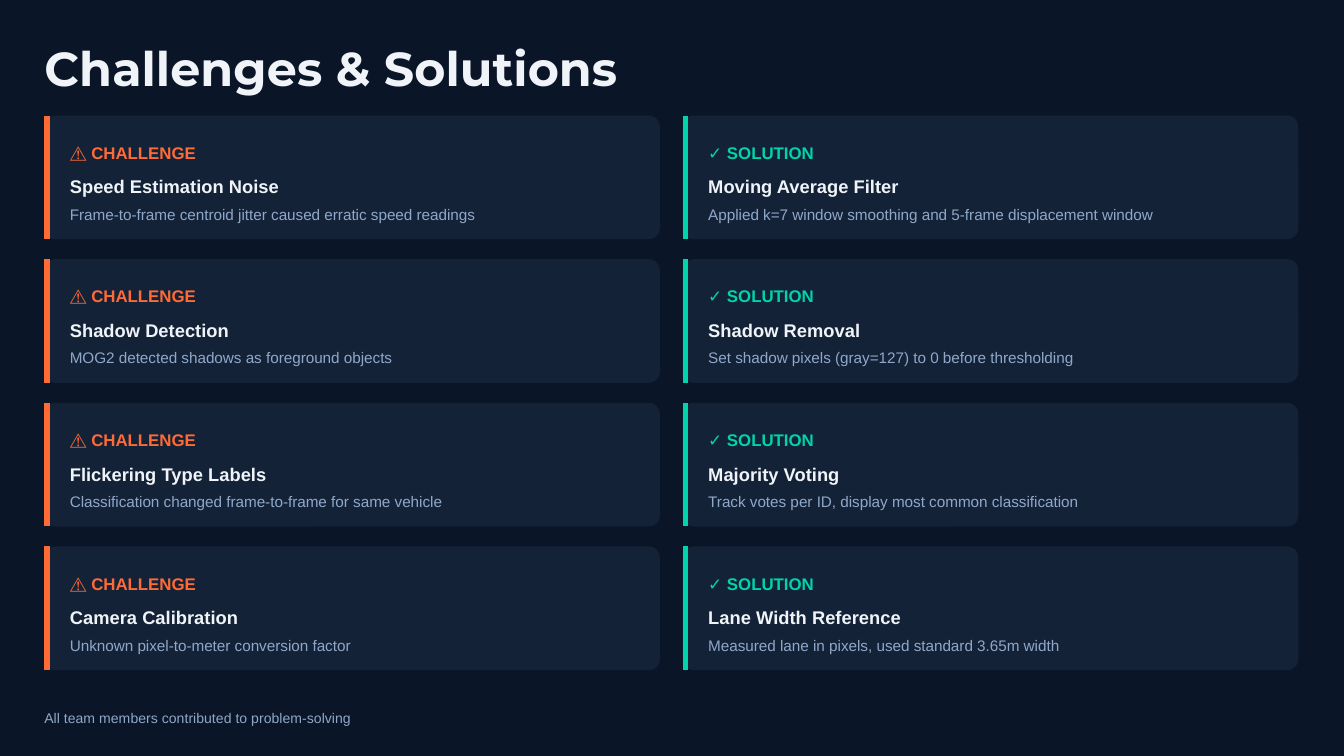
from pptx import Presentation
from pptx.dml.color import RGBColor
from pptx.enum.shapes import MSO_CONNECTOR, MSO_SHAPE
from pptx.enum.text import MSO_ANCHOR, MSO_AUTO_SIZE, PP_ALIGN
from pptx.oxml.ns import qn
from pptx.util import Inches, Pt
from lxml import etree

LINE = MSO_CONNECTOR.STRAIGHT
CARD = MSO_SHAPE.ROUNDED_RECTANGLE
TOP = MSO_ANCHOR.TOP
FIXED = MSO_AUTO_SIZE.NONE
LEFT = PP_ALIGN.LEFT

NAVY = RGBColor(0x0A, 0x16, 0x28)
PANEL = RGBColor(0x14, 0x22, 0x38)
WHITE = RGBColor(0xF0, 0xF4, 0xF8)
GREY = RGBColor(0x8F, 0xA8, 0xC8)
ORANGE = RGBColor(0xFF, 0x6B, 0x35)
GREEN = RGBColor(0x00, 0xD4, 0xAA)

FRAME = dict(margin_left=0, margin_top=0, margin_right=0, margin_bottom=0,
             word_wrap=True, auto_size=FIXED, vertical_anchor=TOP)

deck = Presentation()
deck.slide_width = Inches(10)
deck.slide_height = deck.slide_width * 9 // 16
wide, high = deck.slide_width, deck.slide_height

slide = deck.slides.add_slide(deck.slide_layouts[5])
slide.background.fill.solid()
slide.background.fill.fore_color.rgb = NAVY


def write(box, text, size, color, bold=False, face="Arial", space=1.4):
    frame = box.text_frame
    for name, value in FRAME.items():
        setattr(frame, name, value)
    para = frame.paragraphs[0]
    para.alignment = LEFT
    para.line_spacing = space
    run = para.add_run()
    run.text = text
    for name, value in dict(size=Pt(size), bold=bold, name=face).items():
        setattr(run.font, name, value)
    run.font.color.rgb = color


edge = Inches(0.33)
col = Inches(4.75)
row = int(high * 0.19)
first = Inches(0.86)
card_w, card_h = Inches(4.58), Inches(0.92)
inset = Inches(0.19)
text_w = Inches(4.33)

title = slide.shapes.title
spot = dict(left=edge, top=Inches(0.29), width=Inches(4.77), height=Inches(0.35))
for name, value in spot.items():
    setattr(title, name, value)
write(title, "Challenges & Solutions", 25.5, WHITE, True, "Montserrat", 1)

sides = [("⚠️ CHALLENGE", ORANGE), ("✓ SOLUTION", GREEN)]
pairs = [
    (("Speed Estimation Noise",
      "Frame-to-frame centroid jitter caused erratic speed readings"),
     ("Moving Average Filter",
      "Applied k=7 window smoothing and 5-frame displacement window")),
    (("Shadow Detection", "MOG2 detected shadows as foreground objects"),
     ("Shadow Removal", "Set shadow pixels (gray=127) to 0 before thresholding")),
    (("Flickering Type Labels",
      "Classification changed frame-to-frame for same vehicle"),
     ("Majority Voting", "Track votes per ID, display most common classification")),
    (("Camera Calibration", "Unknown pixel-to-meter conversion factor"),
     ("Lane Width Reference", "Measured lane in pixels, used standard 3.65m width")),
]

for r, pair in enumerate(pairs):
    for c, (head, note) in enumerate(pair):
        label, tint = sides[c]
        x, y = edge + c * col, first + r * row
        card = slide.shapes.add_shape(CARD, x, y, card_w, card_h)
        card.adjustments[0] = 0.09
        card.shadow.inherit = False
        card.fill.solid()
        card.fill.fore_color.rgb = PANEL
        card.line.fill.background()

        mid = x + Inches(0.02)
        bar = slide.shapes.add_connector(LINE, mid, y, mid, y + card_h)
        bar.line.color.rgb = tint
        bar.line.width = Pt(3)
        etree.SubElement(bar._element.spPr, qn("a:effectLst"))

        lines = [(0.14, 0.17, label, 9, tint, True),
                 (0.38, 0.19, head, 9.8, WHITE, True),
                 (0.61, 0.16, note, 8.2, GREY, False)]
        for drop, tall, text, size, color, bold in lines:
            box = slide.shapes.add_textbox(
                x + inset, y + Inches(drop), text_w, Inches(tall))
            write(box, text, size, color, bold)

foot = slide.shapes.add_textbox(
    edge, int(high * 0.93), int(wide * 0.95), Inches(0.15))
write(foot, "All team members contributed to problem-solving", 7.5, GREY)

deck.save("out.pptx")
